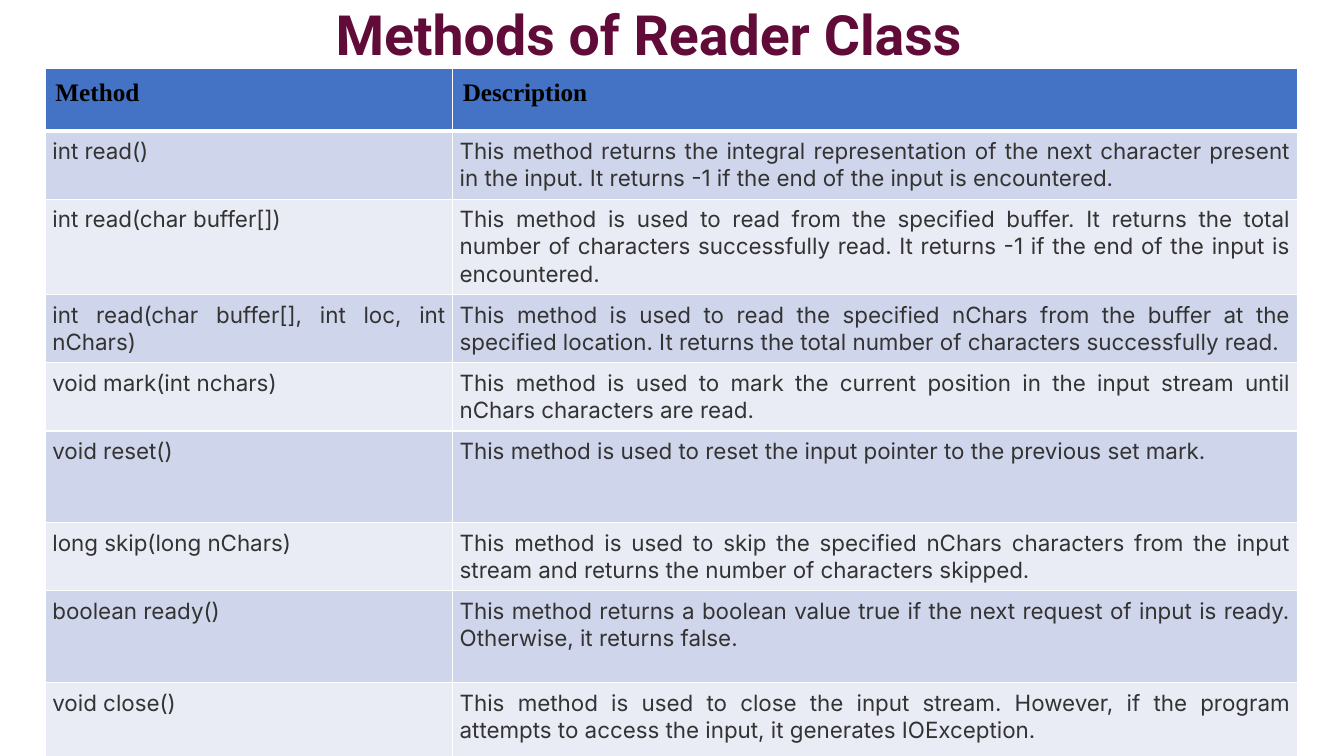
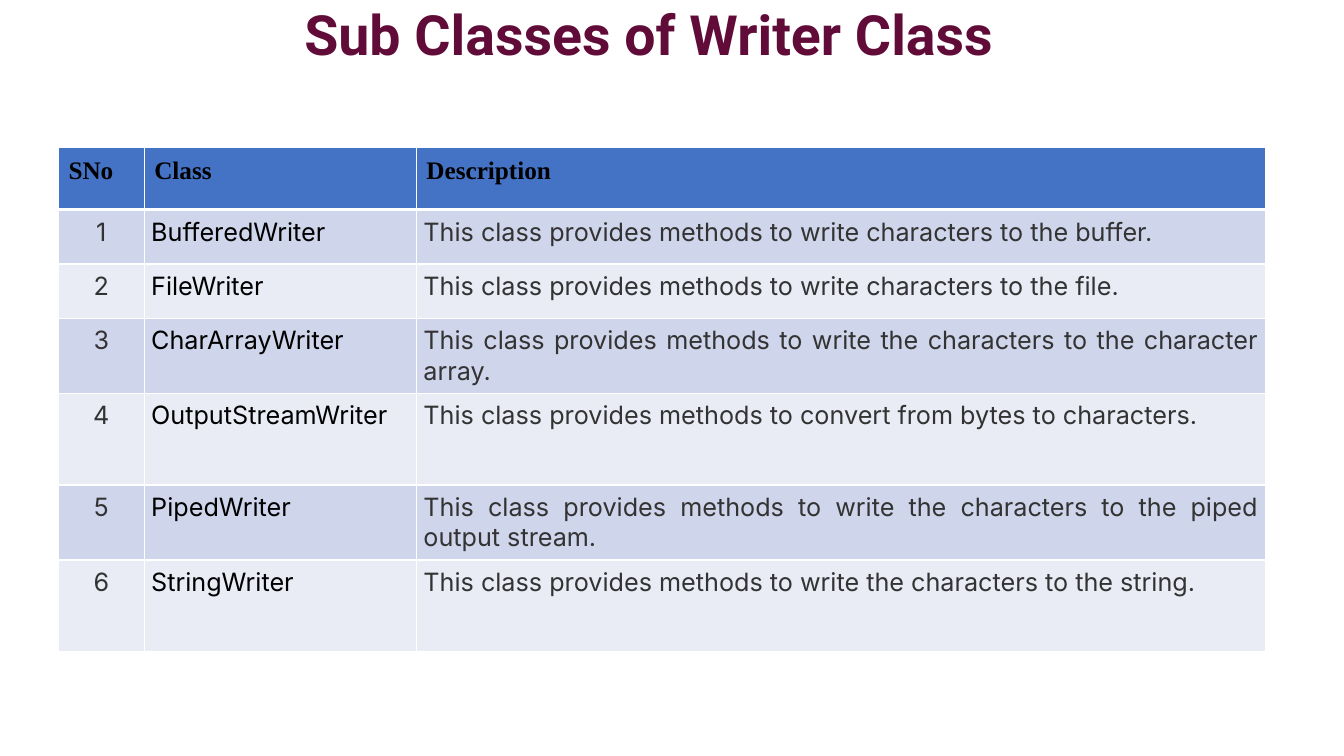
from lxml.etree import SubElement
from pptx import Presentation
from pptx.dml.color import RGBColor
from pptx.enum.text import MSO_ANCHOR, MSO_AUTO_SIZE, PP_ALIGN
from pptx.oxml.ns import qn
from pptx.util import Emu, Pt

PX = 9144
COLORS = {
    "title": "610B38",
    "header": "4472C4",
    "odd": "CFD5EA",
    "even": "E9EBF5",
    "border": "FFFFFF",
    "black": "000000",
    "text": "333333",
}
TITLE_BOX = (45, 0, 1197, 74)
HEADER_HEIGHT = 62
ROW_HEIGHT = 54
TALL_ROW_HEIGHT = 91

READER_METHODS = [
    ("Method", "Description"),
    ("int read()",
     "This method returns the integral representation of the next character present in the input. "
     "It returns -1 if the end of the input is encountered."),
    ("int read(char buffer[])",
     "This method is used to read from the specified buffer. It returns the total number of "
     "characters successfully read. It returns -1 if the end of the input is encountered."),
    ("int read(char buffer[], int loc, int nChars)",
     "This method is used to read the specified nChars from the buffer at the specified location. "
     "It returns the total number of characters successfully read."),
    ("void mark(int nchars)",
     "This method is used to mark the current position in the input stream until nChars "
     "characters are read."),
    ("void reset()",
     "This method is used to reset the input pointer to the previous set mark."),
    ("long skip(long nChars)",
     "This method is used to skip the specified nChars characters from the input stream and "
     "returns the number of characters skipped."),
    ("boolean ready()",
     "This method returns a boolean value true if the next request of input is ready. "
     "Otherwise, it returns false."),
    ("void close()",
     "This method is used to close the input stream. However, if the program attempts to access "
     "the input, it generates IOException."),
]
WRITER_CLASSES = [
    ("SNo", "Class", "Description"),
    ("1", "BufferedWriter", "This class provides methods to write characters to the buffer."),
    ("2", "FileWriter", "This class provides methods to write characters to the file."),
    ("3", "CharArrayWriter",
     "This class provides methods to write the characters to the character array."),
    ("4", "OutputStreamWriter",
     "This class provides methods to convert from bytes to characters."),
    ("5", "PipedWriter",
     "This class provides methods to write the characters to the piped output stream."),
    ("6", "StringWriter",
     "This class provides methods to write the characters to the string."),
]


def px(length):
    return Emu(length * PX)


def rgb(name):
    return RGBColor.from_string(COLORS[name])


def write(frame, text, font="Inter", size=18, color="text", bold=False,
          align=PP_ALIGN.LEFT, spacing=None):
    para = frame.paragraphs[0]
    para.alignment = align
    para.line_spacing = spacing
    span = para.add_run()
    span.text = text
    span.font.name = font
    span.font.size = Pt(size)
    span.font.bold = bold
    span.font.color.rgb = rgb(color)


def add_page(deck, title):
    page = deck.slides.add_slide(deck.slide_layouts[5])
    box = page.shapes.title
    box.left, box.top, box.width, box.height = map(px, TITLE_BOX)
    frame = box.text_frame
    frame.auto_size = MSO_AUTO_SIZE.NONE
    frame.word_wrap = True
    frame.vertical_anchor = MSO_ANCHOR.MIDDLE
    write(frame, title, font="Roboto", size=39.6, color="title", bold=True,
          align=PP_ALIGN.CENTER, spacing=0.9)
    return page


def set_borders(cell, top=1, bottom=1):
    properties = cell._tc.get_or_add_tcPr()
    for side, width in (("L", 1), ("R", 1), ("T", top), ("B", bottom)):
        line = SubElement(properties, qn(f"a:ln{side}"), w=str(Pt(width)))
        fill = SubElement(line, qn("a:solidFill"))
        SubElement(fill, qn("a:srgbClr"), val=COLORS["border"])


def format_cell(cell, text, fill, margin, top=1, bottom=1, **style):
    set_borders(cell, top, bottom)
    cell.fill.solid()
    cell.fill.fore_color.rgb = rgb(fill)
    cell.margin_left = cell.margin_right = px(margin)
    cell.margin_top = cell.margin_bottom = px(margin)
    cell.vertical_anchor = MSO_ANCHOR.TOP
    write(cell.text_frame, text, **style)


def add_grid(page, left, top, widths, rows, tall_rows, column_styles, size):
    heights = [HEADER_HEIGHT] + [
        TALL_ROW_HEIGHT if number in tall_rows else ROW_HEIGHT
        for number in range(1, len(rows))
    ]
    table = page.shapes.add_table(
        len(rows), len(widths), px(left), px(top), px(sum(widths)), px(sum(heights))
    ).table
    table.horz_banding = False
    for column, width in zip(table.columns, widths):
        column.width = px(width)
    for number, (row, height, texts) in enumerate(zip(table.rows, heights, rows)):
        row.height = px(height)
        for cell, text, style in zip(row.cells, texts, column_styles):
            if number == 0:
                format_cell(cell, text, "header", 10, bottom=3,
                            font="Times New Roman", color="black", bold=True)
            else:
                format_cell(cell, text, "odd" if number % 2 else "even", 7,
                            top=3 if number == 1 else 1, size=size, **style)


def main():
    deck = Presentation()
    deck.slide_width, deck.slide_height = px(1333), px(750)
    justified = {"align": PP_ALIGN.JUSTIFY}
    centered = {"align": PP_ALIGN.CENTER}
    class_name = {"align": PP_ALIGN.JUSTIFY, "color": "black"}

    page = add_page(deck, "Methods of Reader Class")
    add_grid(page, 45, 68, (404, 838), READER_METHODS, {5, 7, 8},
             (justified, justified), size=16)

    page = add_page(deck, "Sub Classes of Writer Class")
    add_grid(page, 58, 146, (85, 270, 842), WRITER_CLASSES, {4, 6},
             (centered, class_name, justified), size=18)

    deck.save("out.pptx")


if __name__ == "__main__":
    main()
